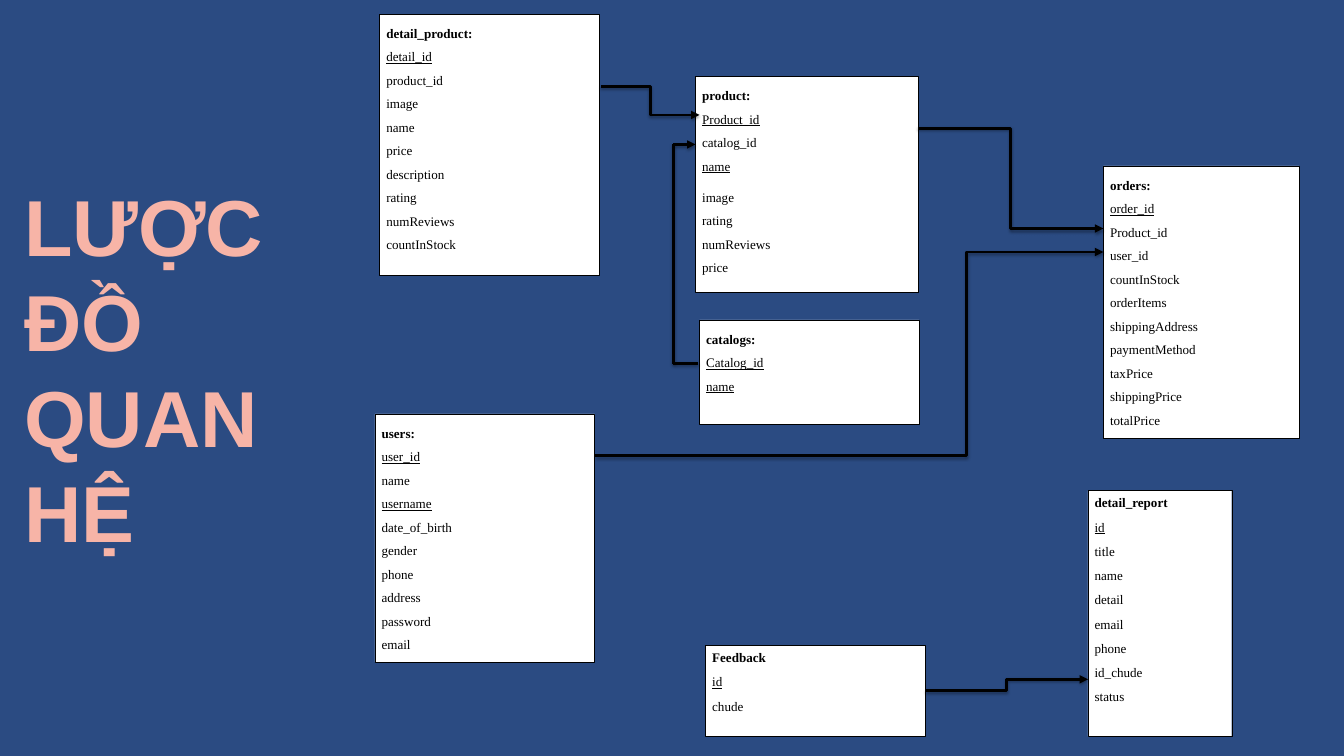
from lxml import etree
from pptx import Presentation
from pptx.dml.color import RGBColor
from pptx.enum.shapes import MSO_CONNECTOR as Conn, MSO_SHAPE as Shape
from pptx.enum.text import MSO_ANCHOR as Anchor, MSO_AUTO_SIZE as Auto, PP_ALIGN as Align
from pptx.oxml import parse_xml
from pptx.oxml.ns import nsdecls, qn
from pptx.util import Inches, Pt

TITLE = "LƯỢC ĐỒ QUAN HỆ"
LOOSE, TIGHT = (1.5, 0), (1.07, 8)
TABLES = [
    {"name": "users:", "box": (5.58, 6.16, 3.27, 3.69), "gap": LOOSE, "keys": ["user_id", "username"],
     "rows": ["user_id", "name", "username", "date_of_birth", "gender", "phone", "address",
              "password", "email"]},
    {"name": "orders:", "box": (16.42, 2.47, 2.91, 4.05), "gap": LOOSE, "keys": ["order_id"],
     "rows": ["order_id", "Product_id", "user_id", "countInStock", "orderItems",
              "shippingAddress", "paymentMethod", "taxPrice", "shippingPrice", "totalPrice"]},
    {"name": "detail_product:", "box": (5.65, 0.21, 3.27, 3.88), "gap": LOOSE, "keys": ["detail_id"],
     "rows": ["detail_id", "product_id", "image", "name", "price", "description", "rating",
              "numReviews", "countInStock"]},
    {"name": "product:", "box": (10.35, 1.14, 3.31, 3.21), "gap": LOOSE,
     "keys": ["Product_id", "name"], "split": "name",
     "rows": ["Product_id", "catalog_id", "name", "image", "rating", "numReviews", "price"]},
    {"name": "catalogs:", "box": (10.41, 4.76, 3.27, 1.56), "gap": LOOSE,
     "keys": ["Catalog_id", "name"], "rows": ["Catalog_id", "name"]},
    {"name": "Feedback", "box": (10.5, 9.6, 3.27, 1.36), "gap": TIGHT, "keys": ["id"],
     "rows": ["id", "chude"]},
    {"name": "detail_report", "box": (16.19, 7.3, 2.14, 3.66), "gap": TIGHT, "keys": ["id"],
     "rows": ["id", "title", "name", "detail", "email", "phone", "id_chude", "status"]},
]
BENDS = [
    ((8.94, 1.29), (10.41, 1.71), 0.5),
    ((13.66, 1.91), (16.42, 3.4), 0.5),
    ((8.86, 6.78), (16.42, 3.75), 0.73),
    ((13.77, 10.28), (16.19, 10.11), 0.5),
]
ROUTE = [(10.39, 5.41), (10.02, 5.41), (10.02, 2.15), (10.35, 2.15)]


def tint(code):
    """Return the colour for a hex string."""
    return RGBColor.from_string(code)


def write(para, text, size=14, font="Times New Roman", color="000000", bold=False,
          under=False, lead=1.0, after=0):
    """Put one formatted run in a paragraph."""
    run = para.add_run()
    run.text = text
    run.font.size, run.font.name = Pt(size), font
    run.font.bold, run.font.underline = bold, under
    run.font.color.rgb = tint(color)
    para.alignment = Align.LEFT
    para.line_spacing, para.space_before, para.space_after = lead, Pt(0), Pt(after)


def add_box(slide, table):
    """Draw one table of the schema with its field list."""
    box = slide.shapes.add_shape(Shape.RECTANGLE, *map(Inches, table["box"]))
    box.shadow.inherit = False
    box.fill.solid()
    box.fill.fore_color.rgb = tint("FFFFFF")
    box.line.color.rgb = tint("000000")
    box.line.width = Pt(0.5)
    frame = box.text_frame
    frame.word_wrap, frame.vertical_anchor = True, Anchor.TOP
    lead, after = table["gap"]
    write(frame.paragraphs[0], table["name"], bold=True, lead=lead, after=after)
    for row in table["rows"]:
        write(frame.add_paragraph(), row, under=row in table["keys"], lead=lead,
              after=8 if row == table.get("split") else after)


def add_link(slide, start, end, bend=None, arrow=True):
    """Draw a straight or bent link with a soft shadow."""
    kind = Conn.STRAIGHT if bend is None else Conn.ELBOW
    link = slide.shapes.add_connector(kind, *map(Inches, start + end))
    link.line.color.rgb = tint("000000")
    link.line.width = Pt(3)
    props = link._element.spPr
    if bend is not None:
        guides = props.find(qn("a:prstGeom")).find(qn("a:avLst"))
        etree.SubElement(guides, qn("a:gd"), name="adj1", fmla=f"val {round(bend * 100000)}")
    if arrow:
        etree.SubElement(props.find(qn("a:ln")), qn("a:tailEnd"), type="triangle")
    props.append(parse_xml(
        f'<a:effectLst {nsdecls("a")}><a:outerShdw blurRad="{Pt(3.1)}" dist="{Pt(1.8)}" '
        'dir="5400000" rotWithShape="0"><a:srgbClr val="000000"><a:alpha val="35000"/>'
        '</a:srgbClr></a:outerShdw></a:effectLst>'))


def add_title(slide):
    """Place and format the title."""
    title = slide.shapes.title
    title.left, title.top, title.width, title.height = map(Inches, (0.36, 2.64, 3.8, 5.72))
    frame = title.text_frame
    frame.margin_left = frame.margin_right = frame.margin_top = frame.margin_bottom = 0
    frame.word_wrap, frame.auto_size, frame.vertical_anchor = True, Auto.NONE, Anchor.TOP
    write(frame.paragraphs[0], TITLE, size=85, font="Arial", color="F7B4A7", bold=True,
          lead=Pt(102))


def main():
    """Build the slide and save it."""
    deck = Presentation()
    deck.slide_width, deck.slide_height = Inches(20), Inches(11.25)
    slide = deck.slides.add_slide(deck.slide_layouts[5])
    slide.background.fill.solid()
    slide.background.fill.fore_color.rgb = tint("2B4B82")
    add_title(slide)
    for table in TABLES:
        add_box(slide, table)
    for start, end, bend in BENDS:
        add_link(slide, start, end, bend)
    for start, end in zip(ROUTE, ROUTE[1:]):
        add_link(slide, start, end, arrow=end == ROUTE[-1])
    deck.save("out.pptx")


if __name__ == "__main__":
    main()
